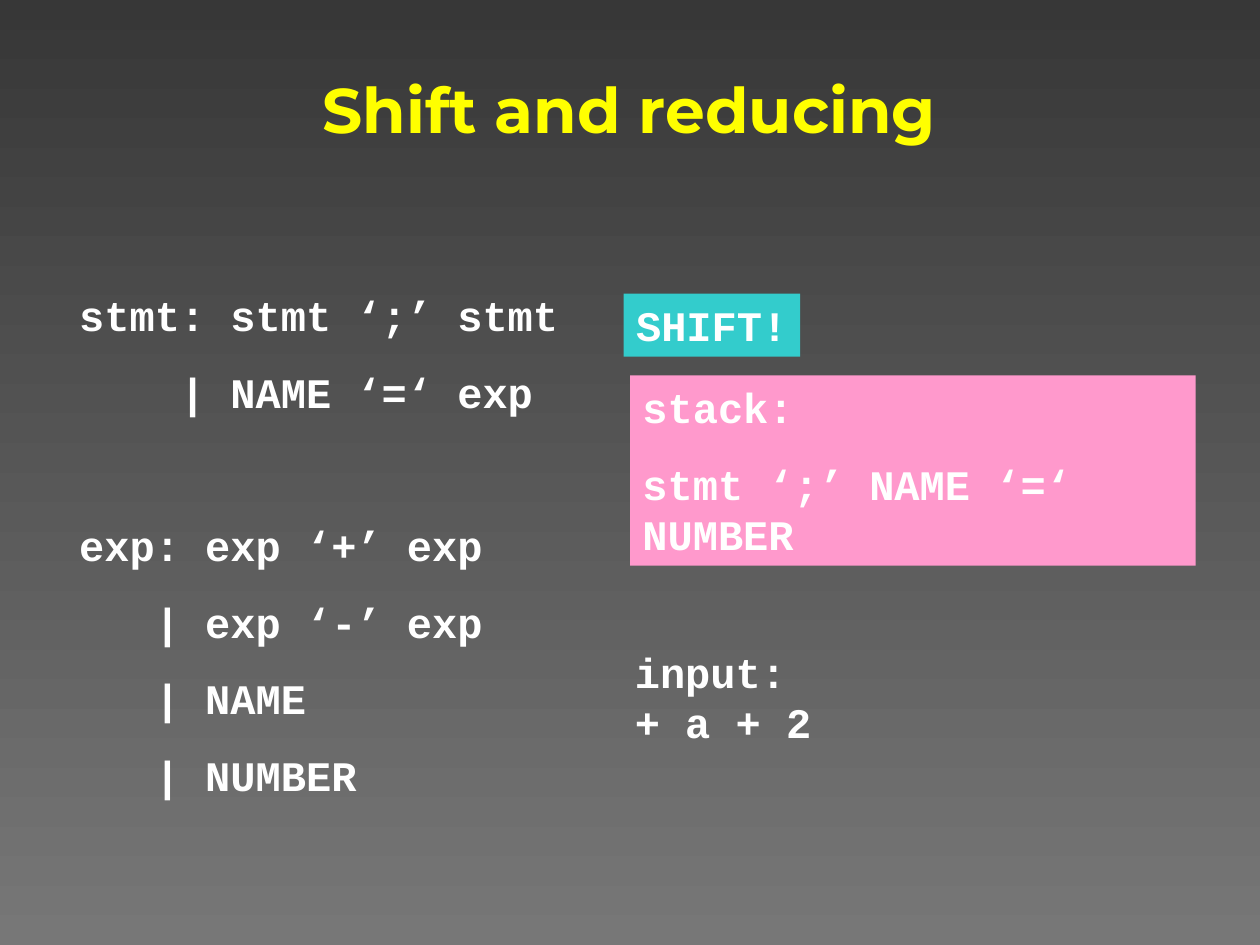
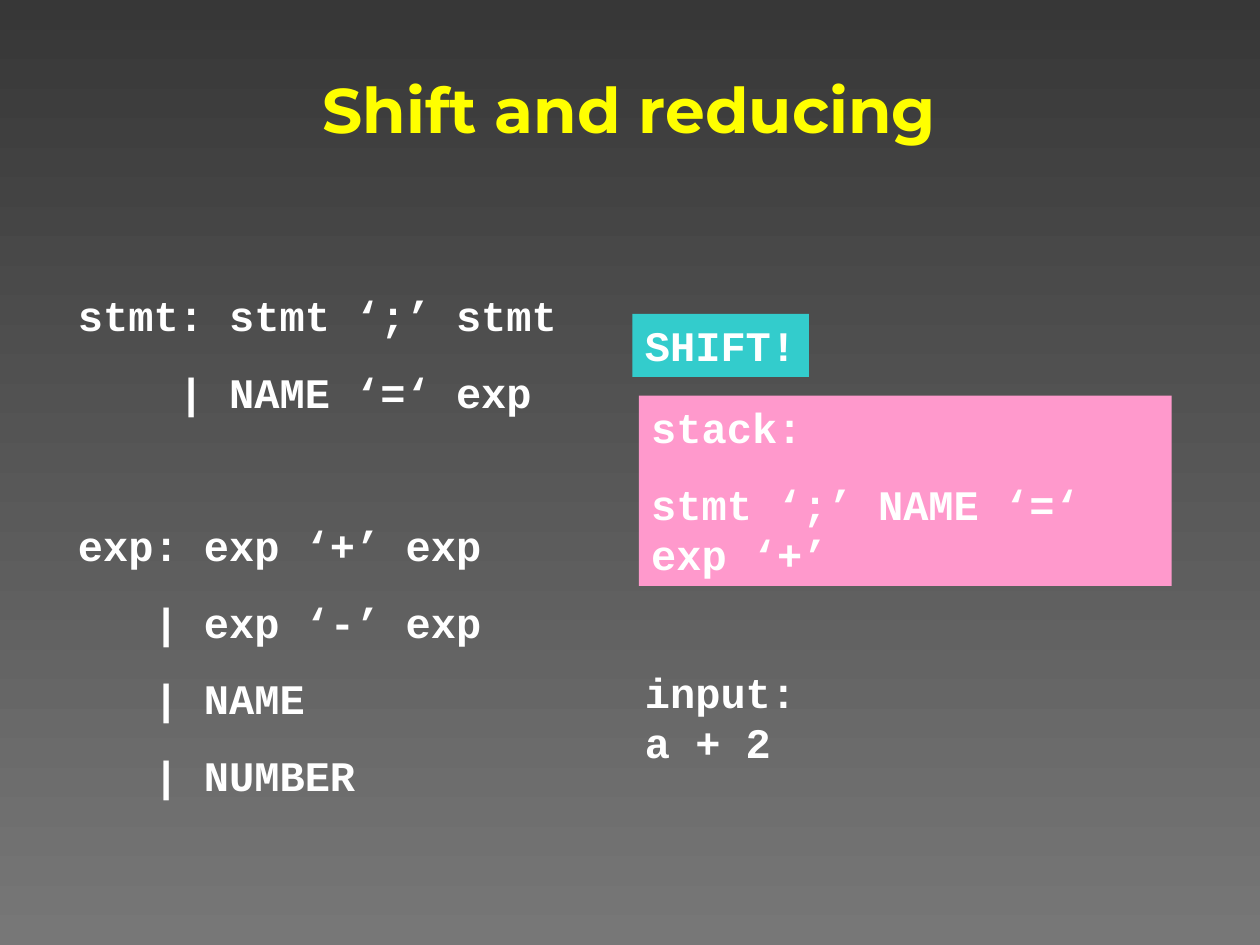
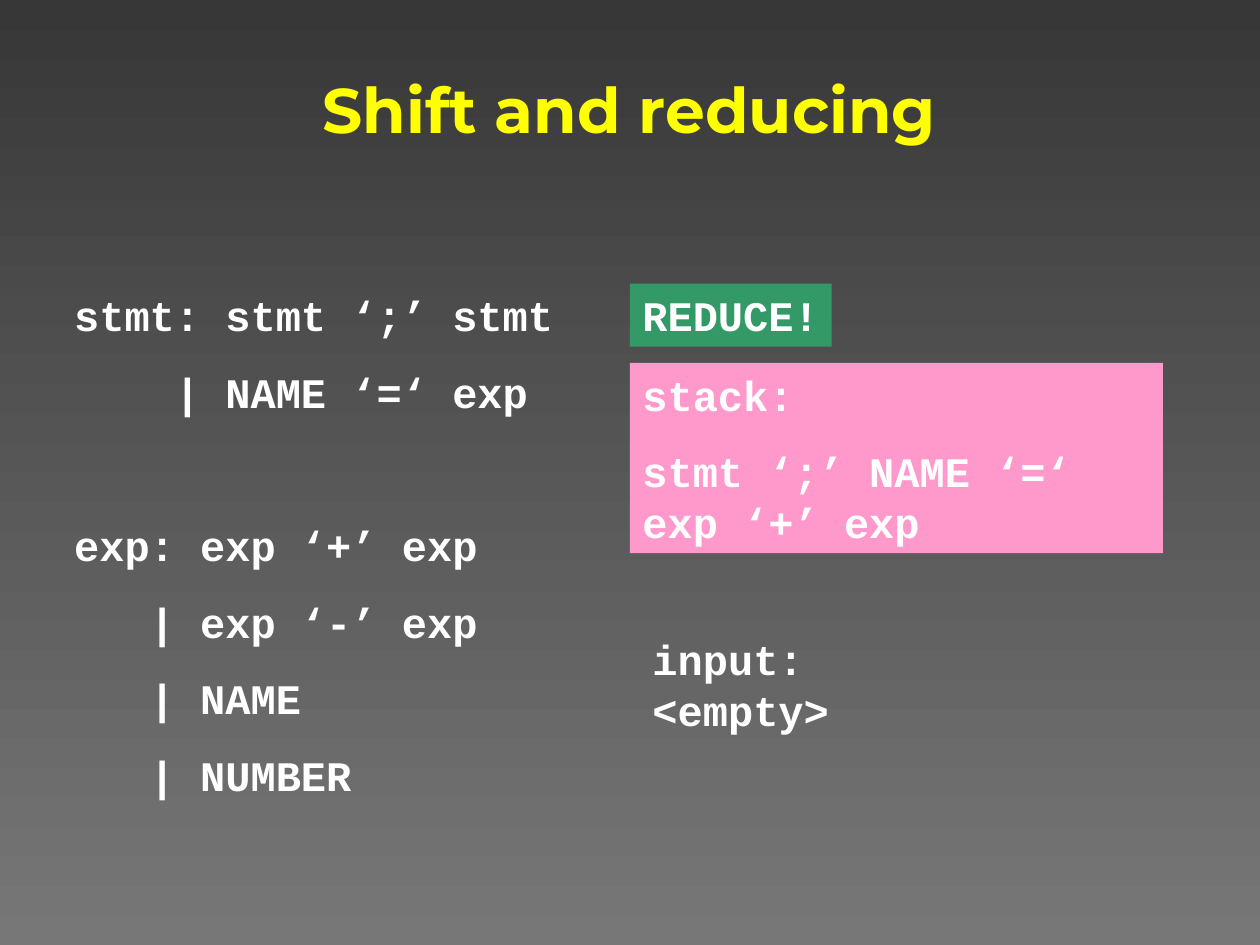
from dataclasses import dataclass

from pptx import Presentation
from pptx.dml.color import RGBColor
from pptx.enum.shapes import MSO_SHAPE
from pptx.enum.text import MSO_ANCHOR, MSO_AUTO_SIZE, PP_ALIGN
from pptx.util import Inches, Pt

DARK_GREY = RGBColor(0x37, 0x37, 0x37)
MID_GREY = RGBColor(0x77, 0x77, 0x77)
YELLOW = RGBColor(0xFF, 0xFF, 0x00)
WHITE = RGBColor(0xFF, 0xFF, 0xFF)
PINK = RGBColor(0xFF, 0x99, 0xCC)
TEAL = RGBColor(0x33, 0xCC, 0xCC)
GREEN = RGBColor(0x33, 0x99, 0x66)

TITLE_ONLY = 5
LINE_GAP = 15
RULE_GAP = 58.8  # two line gaps and one empty line

GRAMMAR = [
    [
        "stmt: stmt ‘;’ stmt",
        "    | NAME ‘=‘ exp",
    ],
    [
        "exp: exp ‘+’ exp",
        "   | exp ‘-’ exp",
        "   | NAME",
        "   | NUMBER",
    ],
]


@dataclass
class Step:
    """One parser step; lefts, tops and widths are percentages of the slide."""
    action: str
    color: RGBColor
    stack: str
    rest: str
    grammar_left: float
    grammar_width: float
    action_box: tuple
    stack_box: tuple
    input_box: tuple


STEPS = [
    Step("SHIFT!", TEAL, "stmt ‘;’ NAME ‘=‘ NUMBER", "+ a + 2", 5.3, 40.2,
         (49.5, 31.07, 14), (50, 39.73, 44.9), (49.4, 67.73, 16)),
    Step("SHIFT!", TEAL, "stmt ‘;’ NAME ‘=‘ exp ‘+’", "a + 2", 5.2, 40.4,
         (50.2, 33.2, 14), (50.7, 41.87, 42.3), (50.2, 69.87, 14)),
    Step("REDUCE!", GREEN, "stmt ‘;’ NAME ‘=‘ exp ‘+’ exp", "<empty>", 4.9, 40.7,
         (50, 30, 16), (50, 38.4, 42.3), (50.8, 66.4, 16)),
]


class SlideWriter:
    def __init__(self):
        self.deck = Presentation()
        self.deck.slide_width, self.deck.slide_height = Inches(10), Inches(7.5)
        self.slide = None
        fill = self.deck.slide_master.background.fill
        fill.gradient()
        fill.gradient_angle = 270
        for stop, color in zip(fill.gradient_stops, (DARK_GREY, MID_GREY)):
            stop.color.rgb = color

    def area(self, left, top, width, height):
        """Turn percentages of the slide into lengths."""
        across, down = self.deck.slide_width / 100, self.deck.slide_height / 100
        return [round(length) for length in
                (left * across, top * down, width * across, height * down)]

    def style(self, paragraph, font_name, size, color, align):
        paragraph.alignment = align
        for span in paragraph.runs:
            font = span.font
            font.name, font.size, font.bold = font_name, Pt(size), True
            font.color.rgb = color

    def start_slide(self, heading):
        self.slide = self.deck.slides.add_slide(self.deck.slide_layouts[TITLE_ONLY])
        title = self.slide.shapes.title
        title.left, title.top, title.width, title.height = self.area(2.9, 4.8, 94.1, 13.33)
        title.text_frame.text = heading
        title.text_frame.vertical_anchor = MSO_ANCHOR.MIDDLE
        self.style(title.text_frame.paragraphs[0], "Montserrat", 36, YELLOW, PP_ALIGN.CENTER)

    def code(self, box, lines, gaps=(), wrap=True):
        """Write code lines; gaps holds the space before each line after the first."""
        frame = box.text_frame
        frame.text = "\n".join(lines)
        frame.word_wrap = wrap
        frame.auto_size = MSO_AUTO_SIZE.SHAPE_TO_FIT_TEXT
        frame.vertical_anchor = MSO_ANCHOR.TOP
        for para in frame.paragraphs:
            self.style(para, "Courier New", 24, WHITE, PP_ALIGN.LEFT)
        for para, gap in zip(frame.paragraphs[1:], gaps):
            para.space_before = Pt(gap)

    def text(self, area, lines, **options):
        self.code(self.slide.shapes.add_textbox(*self.area(*area)), lines, **options)

    def panel(self, area, color, lines, **options):
        box = self.slide.shapes.add_shape(MSO_SHAPE.RECTANGLE, *self.area(*area))
        box.shadow.inherit = False
        box.fill.solid()
        box.fill.fore_color.rgb = color
        box.line.fill.background()
        self.code(box, lines, **options)

    def grammar(self, left, width):
        lines = [line for rule in GRAMMAR for line in rule]
        gaps = [RULE_GAP if index == 0 else LINE_GAP
                for rule in GRAMMAR for index in range(len(rule))][1:]
        self.text((left, 30, width, 55.33), lines, gaps=gaps)


def main():
    writer = SlideWriter()
    for step in STEPS:
        writer.start_slide("Shift and reducing")
        writer.grammar(step.grammar_left, step.grammar_width)
        writer.text((*step.input_box, 12), ["input:", step.rest], wrap=False)
        writer.panel((*step.stack_box, 20.13), PINK, ["stack:", step.stack], gaps=[LINE_GAP])
        writer.panel((*step.action_box, 6.67), step.color, [step.action], wrap=False)
    writer.deck.save("out.pptx")


if __name__ == "__main__":
    main()
